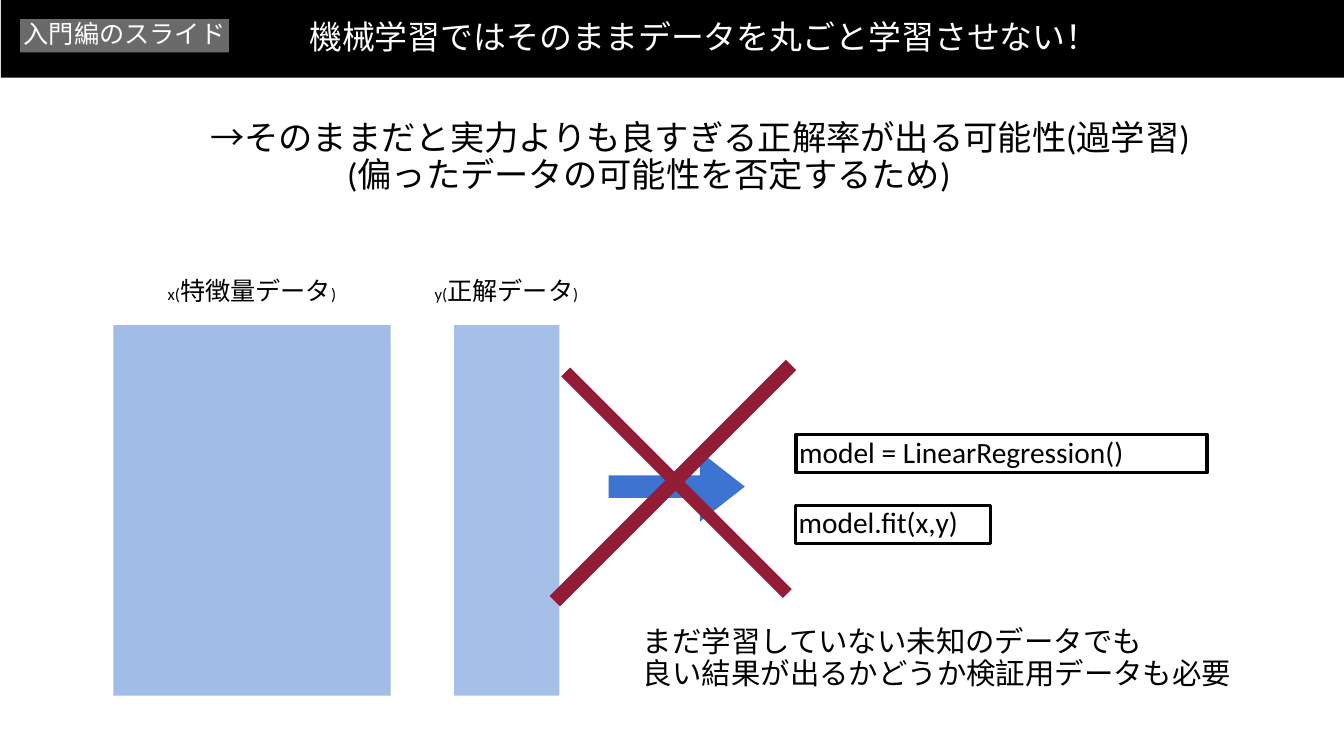
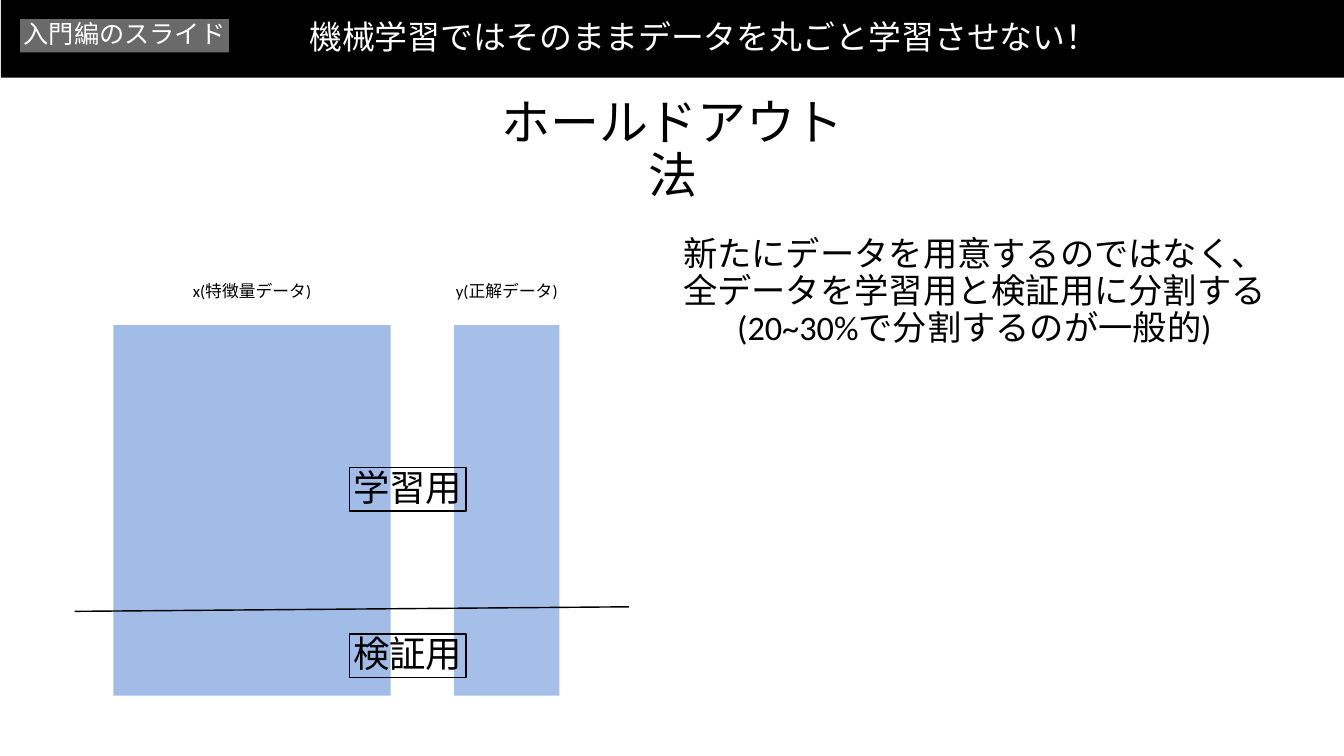
from dataclasses import dataclass
from typing import Optional

from lxml import etree
from pptx import Presentation
from pptx.dml.color import RGBColor
from pptx.enum.shapes import MSO_CONNECTOR as Connector, MSO_SHAPE as Preset
from pptx.enum.text import MSO_ANCHOR as Anchor, PP_ALIGN as Align
from pptx.oxml.ns import qn
from pptx.util import Inches, Pt

# Shared style
BLACK, WHITE, GRAY = "000000", "FFFFFF", "6A6A6A"
BLUE, RED = "3E74D1", "931D36"
BODY_FONT, BADGE_FONT = "Calibri", "Arial"
LINE_SPACING = 0.9
INSET = Inches(0.06)


@dataclass(frozen=True)
class Area:
    left: float
    top: float
    width: float
    height: float

    def lengths(self) -> tuple:
        return tuple(Inches(v) for v in (self.left, self.top, self.width, self.height))


@dataclass(frozen=True)
class Run:
    text: str
    size: float
    color: str = BLACK
    font: str = BODY_FONT


@dataclass(frozen=True)
class Line:
    runs: tuple[Run, ...]
    align: Align = Align.CENTER
    indent: float = 0


@dataclass(frozen=True)
class Block:
    area: Area
    fill: Optional[str] = None
    opacity: int = 100
    outline: float = 0
    rotation: float = 0
    preset: Preset = Preset.RECTANGLE
    adjustments: tuple[float, ...] = ()
    lines: tuple[Line, ...] = ()


def rgb(color: str) -> RGBColor:
    return RGBColor.from_string(color)


def lines_of(*texts: str, size: float, align: Align = Align.CENTER,
             color: str = BLACK, font: str = BODY_FONT) -> tuple[Line, ...]:
    return tuple(Line((Run(text, size, color, font),), align) for text in texts)


def write_lines(shape, lines: tuple[Line, ...]) -> None:
    frame = shape.text_frame
    frame.word_wrap = True
    frame.vertical_anchor = Anchor.MIDDLE
    frame.margin_left = frame.margin_right = INSET
    frame.margin_top = frame.margin_bottom = INSET
    for index, line in enumerate(lines):
        paragraph = frame.add_paragraph() if index else frame.paragraphs[0]
        paragraph.alignment = line.align
        paragraph.line_spacing = LINE_SPACING
        if line.indent:
            properties = paragraph._p.get_or_add_pPr()
            properties.set("marL", str(Inches(line.indent)))
            properties.set("indent", "0")
        for part in line.runs:
            run = paragraph.add_run()
            run.text = part.text
            run.font.name = part.font
            run.font.size = Pt(part.size)
            run.font.color.rgb = rgb(part.color)


def add_text(slide, area: Area, lines: tuple[Line, ...]) -> None:
    write_lines(slide.shapes.add_textbox(*area.lengths()), lines)


def add_block(slide, block: Block) -> None:
    shape = slide.shapes.add_shape(block.preset, *block.area.lengths())
    shape.shadow.inherit = False
    shape.rotation = block.rotation
    for index, value in enumerate(block.adjustments):
        shape.adjustments[index] = value
    if block.fill:
        shape.fill.solid()
        shape.fill.fore_color.rgb = rgb(block.fill)
        if block.opacity < 100:
            color = shape._element.spPr.find(qn("a:solidFill"))[0]
            etree.SubElement(color, qn("a:alpha")).set("val", str(block.opacity * 1000))
    else:
        shape.fill.background()
    if block.outline:
        shape.line.color.rgb = rgb(BLACK)
        shape.line.width = Pt(block.outline)
    else:
        shape.line.fill.background()
    if block.lines:
        write_lines(shape, block.lines)


def add_split_line(slide, start: tuple[float, float], end: tuple[float, float]) -> None:
    ends = [Inches(value) for value in (*start, *end)]
    connector = slide.shapes.add_connector(Connector.STRAIGHT, *ends)
    connector.line.color.rgb = rgb(BLACK)
    connector.line.width = Pt(2)
    etree.SubElement(connector._element.spPr, qn("a:effectLst"))


# Parts found on both slides
HEADER = (
    Block(Area(0.02, -0.01, 26.67, 1.55), BLACK),
    Block(Area(4.27, 0.38, 19.41, 0.77), BLACK,
          lines=lines_of("機械学習ではそのままデータを丸ごと学習させない！", size=47, color=WHITE)),
    Block(Area(0.4, 0.38, 4.14, 0.66), GRAY,
          lines=lines_of("入門編のスライド", size=36, color=WHITE, font=BADGE_FONT)),
)
DATA_BLOCKS = (
    Block(Area(2.25, 6.45, 5.5, 7.35), BLUE, opacity=48),
    Block(Area(9.01, 6.45, 2.09, 7.35), BLUE, opacity=46),
)
DATA_LABELS = (("x", "特徴量データ"), ("y", "正解データ"))


def start_slide(presentation, label_areas: tuple[Area, Area], name_size: float):
    slide = presentation.slides.add_slide(presentation.slide_layouts[6])
    for block in DATA_BLOCKS + HEADER:
        add_block(slide, block)
    for (variable, name), area in zip(DATA_LABELS, label_areas):
        runs = (Run(f"{variable}(", 24), Run(name, name_size), Run(")", 24))
        add_text(slide, area, (Line(runs),))
    return slide


def build_overfitting_slide(presentation) -> None:
    slide = start_slide(
        presentation, (Area(3.21, 5.44, 3.58, 0.72), Area(8.51, 5.44, 3.08, 0.72)), 36)

    # Why all the data must not be used for training
    add_text(slide, Area(4.11, 2.21, 19.73, 1.83), (
        Line((Run("→そのままだと実力よりも良すぎる正解率が出る可能性(過学習)", 49),), Align.LEFT),
        Line((Run("(偏ったデータの可能性を否定するため)", 49),), Align.LEFT, indent=2.72),
    ))

    # Model code
    for area, outline, code in (
        (Area(15.8, 8.62, 8.15, 0.76), 5, "model = LinearRegression()"),
        (Area(15.79, 10.03, 3.86, 0.75), 4, "model.fit(x,y)"),
    ):
        add_block(slide, Block(area, outline=outline,
                               lines=lines_of(code, size=42, align=Align.LEFT)))

    # Crossed-out arrow
    add_block(slide, Block(Area(12.08, 8.96, 2.7, 1.39), BLUE,
                           preset=Preset.RIGHT_ARROW, adjustments=(0.32, 0.64)))
    for bar in (Area(13.3, 6.47, 0.25, 6.22), Area(10.04, 9.44, 6.63, 0.29)):
        add_block(slide, Block(bar, RED, rotation=315))

    # Need for validation data
    add_text(slide, Area(12.7, 12.29, 11.9, 1.57), lines_of(
        "まだ学習していない未知のデータでも",
        "良い結果が出るかどうか検証用データも必要",
        size=42, align=Align.LEFT))


def build_holdout_slide(presentation) -> None:
    slide = start_slide(
        presentation, (Area(3.39, 5.53, 3.22, 0.53), Area(8.65, 5.53, 2.81, 0.53)), 24)

    # Split into training and validation parts
    add_split_line(slide, (1.48, 12.13), (12.48, 12.04))
    for top, part in ((9.28, "学習用"), (12.58, "検証用")):
        add_block(slide, Block(Area(6.93, top, 2.32, 0.86), outline=2,
                               lines=lines_of(part, size=52)))

    # Method name and explanation
    add_text(slide, Area(9.42, 2.46, 7.86, 1.08), lines_of("ホールドアウト法", size=70))
    add_text(slide, Area(13.49, 4.37, 11.69, 2.85), lines_of(
        "新たにデータを用意するのではなく、",
        "全データを学習用と検証用に分割する",
        "(20~30%で分割するのが一般的)",
        size=49))


def main() -> None:
    presentation = Presentation()
    presentation.slide_width = Inches(26.67)
    presentation.slide_height = Inches(15)
    build_overfitting_slide(presentation)
    build_holdout_slide(presentation)
    presentation.save("out.pptx")


if __name__ == "__main__":
    main()
